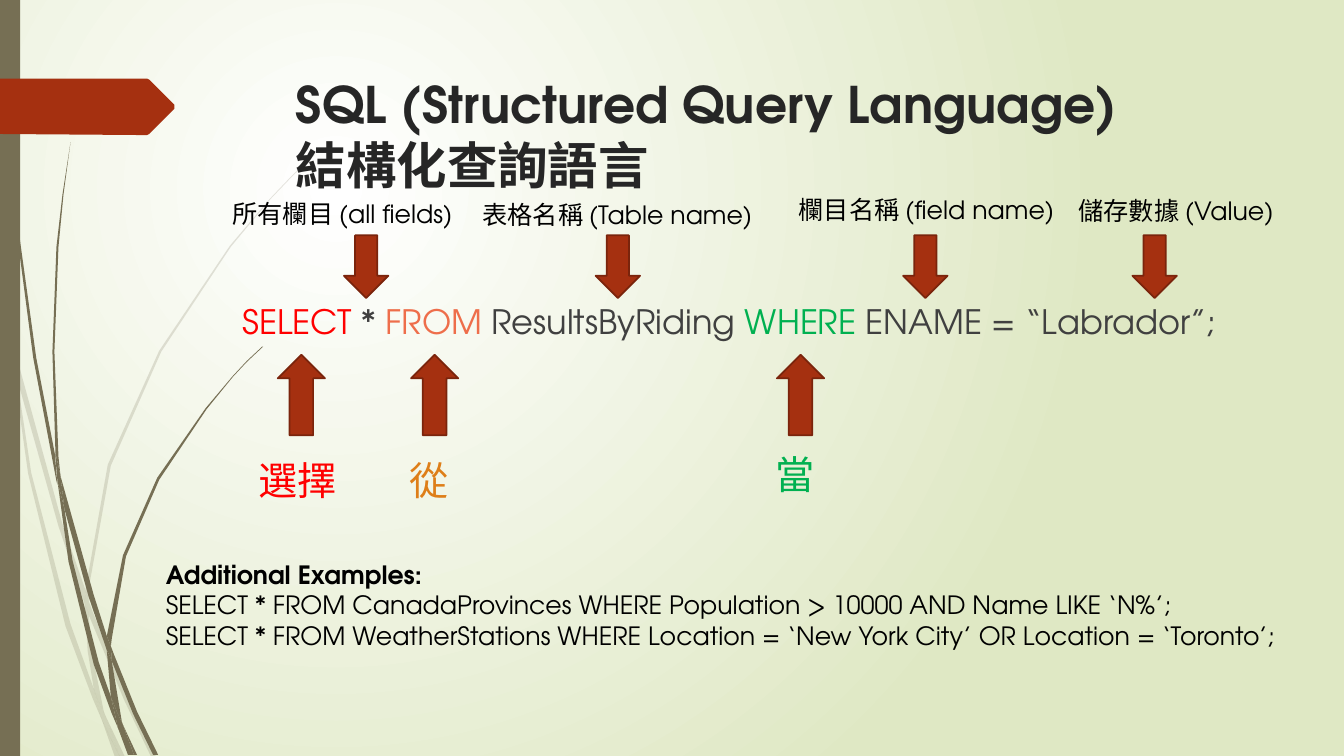
from lxml import etree
from pptx import Presentation
from pptx.dml.color import RGBColor
from pptx.enum.shapes import MSO_SHAPE
from pptx.oxml.ns import qn
from pptx.util import Cm, Pt

RECT, UP, DOWN = MSO_SHAPE.RECTANGLE, MSO_SHAPE.UP_ARROW, MSO_SHAPE.DOWN_ARROW

THEME = {
    "font": "TeX Gyre Adventor",
    "olive": "766F54", "rust": "A53010", "edge": "7A240C",
    "white": "FFFFFF", "lime": "DFE8C4",
    "ink": "262626", "gray": "404040", "black": "000000",
    "red": "FF0000", "coral": "EE6E4B", "amber": "DE7E18", "green": "00B050",
    "title": 36, "word": 28, "query": 24, "note": 18,
}

TITLE = "SQL (Structured Query Language)\v結構化查詢語言"
QUERY = [
    ("SELECT", "red"), (" * ", "gray"), ("FROM ", "coral"),
    ("ResultsByRiding ", "gray"), ("WHERE", "green"),
    (" ENAME = “Labrador”;", "gray"),
]
LABELS = [
    ("所有欄目 (all fields)", 5.61, 4.88, 7.42, 8.67),
    ("表格名稱 (Table name)", 11.91, 4.9, 7.72, 15.01),
    ("欄目名稱 (field name)", 19.88, 4.78, 7.42, 22.76),
    ("儲存數據 (Value)", 26.93, 4.8, 5.99, 28.54),
]
WORDS = [
    ("選擇", "red", 6.27, 11.38, 2.64, 7),
    ("從", "amber", 10.08, 11.38, 1.75, 10.36),
    ("當", "green", 19.3, 11.23, 1.75, 19.58),
]
HEAD = "Additional Examples:"
SAMPLES = [
    "SELECT * FROM CanadaProvinces WHERE Population > 10000 AND Name LIKE ‘N%’;",
    "SELECT * FROM WeatherStations WHERE Location = ‘New York City’ OR Location = ‘Toronto’;",
]
UNIT = Cm(0.0254)
FLAG = [(173, 108), (148, 133), (146, 134), (136, 134), (0, 133), (0, 78),
        (146, 78), (148, 79), (173, 104)]
PALE = [
    [(11, 350), (9, 322), (0, 282), (0, 299), (10, 344)],
    [(58, 522), (84, 599), (85, 586), (62, 520), (14, 345), (17, 376)],
    [(92, 607), (88, 596), (88, 610), (123, 694), (150, 751), (155, 751), (127, 692)],
    [(119, 751), (124, 751), (105, 711)],
    [(93, 683), (70, 619), (31, 469), (17, 376), (11, 350), (28, 470), (65, 621),
     (92, 693), (101, 714), (99, 707)],
    [(84, 599), (87, 646), (93, 683), (96, 692), (105, 711), (103, 706), (91, 646),
     (88, 610), (88, 608)],
    [(88, 584), (110, 462), (160, 349), (229, 245), (268, 198), (290, 175), (312, 154),
     (312, 153), (289, 175), (268, 197), (228, 244), (158, 348), (107, 461), (85, 584),
     (85, 586), (88, 596)],
    [(101, 714), (114, 751), (119, 751)],
    [(88, 608), (88, 610), (88, 596), (85, 586), (84, 599)],
    [(96, 692), (93, 683), (99, 707), (101, 714), (119, 751), (105, 711)],
]
DARK = [
    [(7, 110), (17, 233), (33, 355), (56, 477), (57, 481), (55, 457), (55, 453),
     (36, 355), (19, 232), (8, 109), (5, 48), (4, 0), (3, 0), (4, 48)],
    [(88, 592), (106, 645), (106, 633), (106, 631), (93, 590), (60, 472), (64, 505)],
    [(113, 649), (110, 641), (111, 656), (132, 708), (152, 749), (157, 749), (136, 706)],
    [(110, 691), (98, 657), (72, 556), (64, 505), (57, 477), (68, 557), (93, 659),
     (111, 708), (117, 722), (116, 717)],
    [(60, 472), (58, 453), (54, 349), (58, 245), (63, 193), (70, 141), (62, 193),
     (56, 245), (52, 349), (55, 449)],
    [(133, 749), (136, 749), (122, 719)],
    [(57, 477), (64, 505), (60, 472), (55, 449), (55, 453)],
    [(111, 633), (125, 552), (158, 476), (205, 406), (231, 374), (245, 359), (261, 344),
     (260, 344), (245, 358), (231, 373), (204, 405), (156, 474), (122, 551), (106, 631),
     (110, 641)],
    [(117, 722), (127, 749), (131, 749)],
    [(106, 645), (110, 691), (116, 706), (122, 719), (121, 716), (111, 656), (109, 651)],
    [(106, 645), (109, 651), (111, 656), (110, 641), (106, 631), (106, 633)],
    [(116, 706), (110, 691), (116, 717), (117, 722), (130, 749), (133, 749), (122, 719)],
]

deck = Presentation()
deck.slide_width, deck.slide_height = Cm(33.87), Cm(19.05)
slide = deck.slides.add_slide(deck.slide_layouts[6])


def tint(name):
    return RGBColor.from_string(THEME[name])


def paint(shape, fill, edge=None):
    shape.shadow.inherit = False
    shape.fill.solid()
    shape.fill.fore_color.rgb = tint(fill)
    if edge:
        shape.line.color.rgb = tint(edge)
        shape.line.width = Pt(1.25)
    else:
        shape.line.fill.background()
    return shape


def block(kind, box, fill, edge=None):
    paint(slide.shapes.add_shape(kind, *map(Cm, box)), fill, edge)


def outline(home, spots, fill):
    form = home.build_freeform(*spots[0], scale=UNIT)
    form.add_line_segments(spots[1:], close=True)
    return paint(form.convert_to_shape(), fill)


def grass(blades, alpha=None):
    home = slide.shapes.add_group_shape().shapes
    for spots in blades:
        shape = outline(home, spots, "olive")
        if alpha:
            hue = next(shape.element.spPr.iter(qn("a:srgbClr")))
            etree.SubElement(hue, qn("a:alpha")).set("val", str(alpha * 1000))


def text(rows, box, *, size, color="black", bold=()):
    frame = slide.shapes.add_textbox(*map(Cm, box)).text_frame
    frame.word_wrap = True
    for i, row in enumerate(rows):
        para = frame.paragraphs[0] if i == 0 else frame.add_paragraph()
        runs = [(row, color)] if isinstance(row, str) else row
        for words, hue in runs:
            for j, part in enumerate(words.split("\v")):
                if j:
                    para.add_line_break()
                run = para.add_run()
                run.text = part
                run.font.name = THEME["font"]
                run.font.size = Pt(THEME[size])
                run.font.bold = i in bold
                run.font.color.rgb = tint(hue)


def backdrop():
    fill = slide.background.fill
    fill.gradient()
    for stop, spot, name in zip(fill.gradient_stops, (0, 1), ("white", "lime")):
        stop.position = spot
        stop.color.rgb = tint(name)
    grad = next(slide.element.iter(qn("a:gradFill")))
    for old in grad.findall(qn("a:lin")):
        grad.remove(old)
    for node in grad.iter(qn("a:srgbClr")):
        for extra in list(node):
            node.remove(extra)
    glow = etree.Element(qn("a:path"), {"path": "circle"})
    grad.find(qn("a:gsLst")).addnext(glow)
    sides = {"l": "50000", "t": "50000", "r": "100000", "b": "100000"}
    etree.SubElement(glow, qn("a:fillToRect"), sides)


backdrop()
grass(PALE, alpha=20)
grass(DARK)
block(RECT, (0, 0, 0.51, 19.05), "olive")
outline(slide.shapes, FLAG, "rust")

text([TITLE], (7.21, 1.73, 24.77, 3.56), size="title", color="ink", bold=(0,))
text([QUERY], (5.86, 7.46, 25.37, 1.3), size="query")
for words, x, y, wide, tip in LABELS:
    text([words], (x, y, wide, 1.02), size="note")
    block(DOWN, (tip, 5.93, 1.12, 1.58), "rust", "edge")
for words, hue, x, y, wide, tip in WORDS:
    text([words], (x, y, wide, 1.45), size="word", color=hue)
    block(UP, (tip, 8.94, 1.19, 2.03), "rust", "edge")
text([HEAD, *SAMPLES], (3.93, 13.97, 30.73, 3.33), size="note", bold=(0,))

deck.save("out.pptx")
